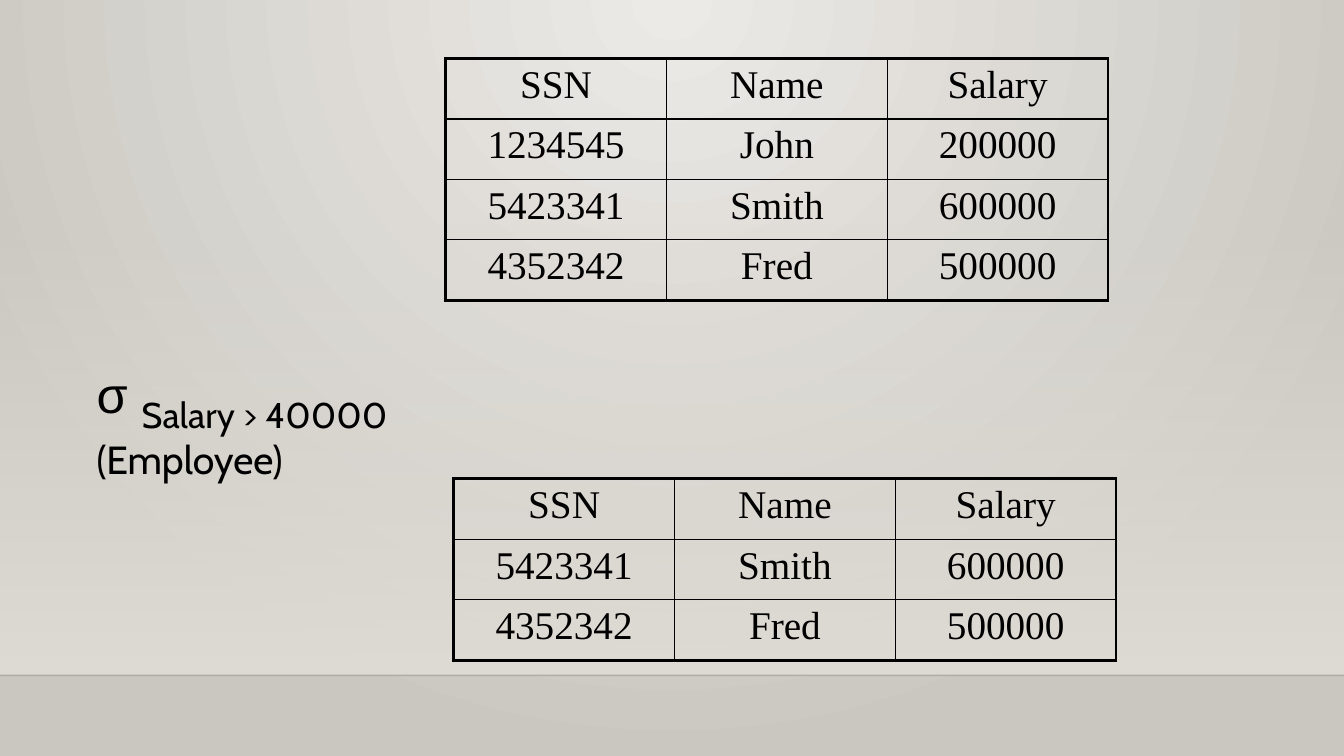
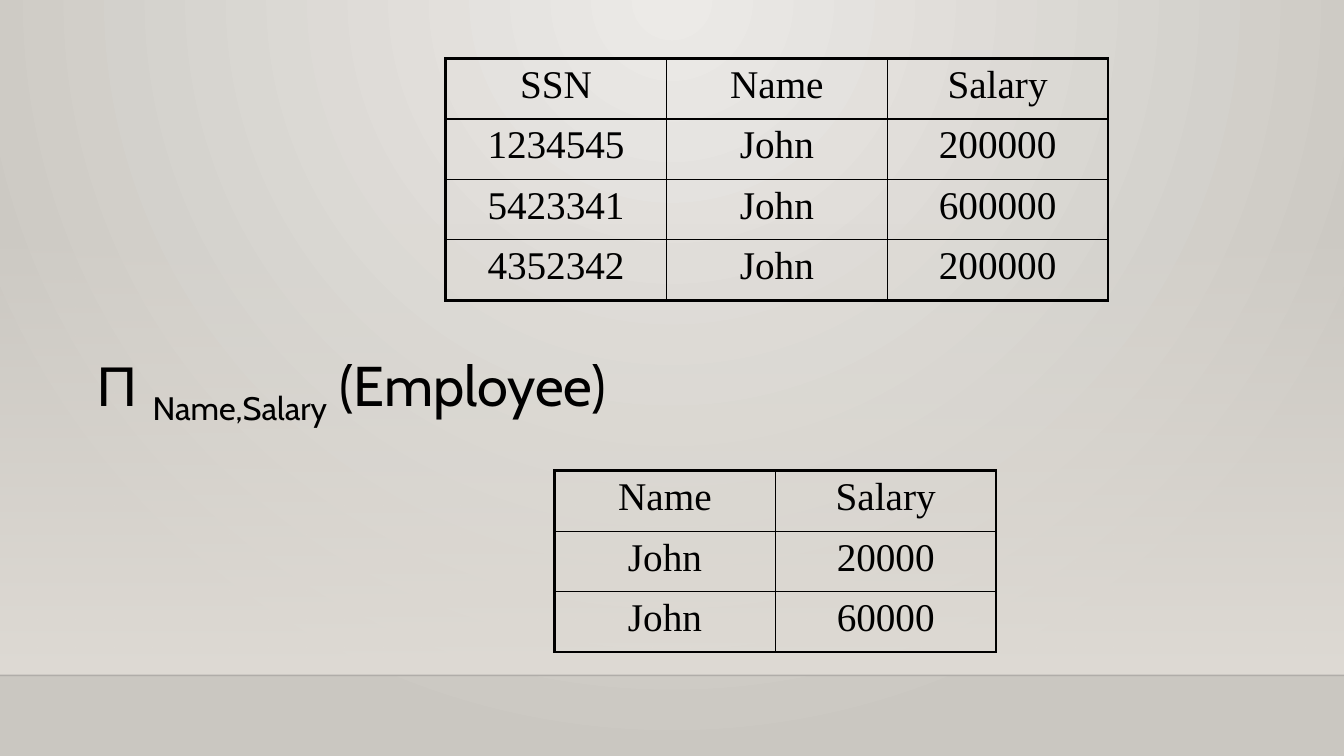
from dataclasses import dataclass

from lxml.etree import SubElement
from pptx import Presentation
from pptx.dml.color import RGBColor
from pptx.enum.shapes import MSO_CONNECTOR, MSO_SHAPE
from pptx.enum.text import PP_ALIGN
from pptx.oxml.ns import qn
from pptx.util import Inches, Pt

INK = "000000"
GLOW, EDGE, BAND, HORIZON = "ECEAE7", "CAC7C1", "DFDBD5", "000001"
SYMBOL_FONT, TEXT_FONT, TABLE_FONT = "Arial", "Cabin", "Times New Roman"
SLIDE_WIDTH, SLIDE_HEIGHT = 13.33, 7.5
BAND_TOP, HORIZON_TOP = 2.21, 6.7
COLUMN_WIDTH, ROW_HEIGHT = 2.19, 0.6
OUTER_RULE, INNER_RULE = 2.25, 1


@dataclass(frozen=True)
class Term:
    """One piece of a relational algebra expression."""
    text: str
    size: int
    font: str = TEXT_FONT
    subscript: bool = False


@dataclass(frozen=True)
class Expression:
    """A line of relational algebra and its place."""
    top: float
    width: float
    height: float
    terms: tuple[Term, ...]
    right_inset: float = 0.1


@dataclass(frozen=True)
class Relation:
    """A table of tuples, header row first."""
    left: float
    top: float
    rows: tuple[tuple[str, ...], ...]


@dataclass(frozen=True)
class Example:
    """An operator applied to a source relation."""
    expression: Expression
    source: Relation
    result: Relation


HEADER = ("SSN", "Name", "Salary")

EXAMPLES = (
    Example(
        Expression(3.44, 5.07, 0.84, (
            Term("σ ", 36, SYMBOL_FONT),
            Term("Salary > 40000 ", 44, subscript=True),
            Term("(Employee)", 28),
        ), right_inset=1),
        Relation(4.42, 0.58, (
            HEADER,
            ("1234545", "John", "200000"),
            ("5423341", "Smith", "600000"),
            ("4352342", "Fred", "500000"),
        )),
        Relation(4.5, 4.75, (
            HEADER,
            ("5423341", "Smith", "600000"),
            ("4352342", "Fred", "500000"),
        )),
    ),
    Example(
        Expression(3.43, 5.4, 0.77, (
            Term("Π ", 40, SYMBOL_FONT),
            Term("Name,Salary", 40, subscript=True),
            Term(" (Employee)", 40),
        )),
        Relation(4.42, 0.58, (
            HEADER,
            ("1234545", "John", "200000"),
            ("5423341", "John", "600000"),
            ("4352342", "John", "200000"),
        )),
        Relation(5.5, 4.67, (
            HEADER[1:],
            ("John", "20000"),
            ("John", "60000"),
        )),
    ),
)


def rgb(value: str) -> RGBColor:
    """Turn a hex string into a colour."""
    return RGBColor.from_string(value)


def set_alpha(parent, percent: int) -> None:
    """Make the first colour below an XML element partly transparent."""
    colour = next(parent.iter(qn("a:srgbClr")))
    SubElement(colour, qn("a:alpha"), val=str(percent * 1000))


def fill_gradient(fill, start: str, end: str) -> None:
    """Give a fill a two-stop gradient."""
    fill.gradient()
    for stop, colour, position in zip(fill.gradient_stops, (start, end), (0, 1)):
        stop.color.rgb = rgb(colour)
        stop.position = position


def style_master(master) -> None:
    """Give the master a glow that spreads from the top centre."""
    fill_gradient(master.background.fill, GLOW, EDGE)
    gradient = next(master.element.iter(qn("a:gradFill")))
    gradient.remove(gradient.find(qn("a:lin")))
    glow = SubElement(gradient, qn("a:path"), path="circle")
    SubElement(glow, qn("a:fillToRect"), l="43000", t="0", r="43000", b="100000")


def add_backdrop(slide) -> None:
    """Draw the fading wall and the horizon line."""
    wall = slide.shapes.add_shape(
        MSO_SHAPE.RECTANGLE, 0, Inches(BAND_TOP),
        Inches(SLIDE_WIDTH), Inches(HORIZON_TOP - BAND_TOP))
    wall.shadow.inherit = False
    wall.line.fill.background()
    fill_gradient(wall.fill, BAND, BAND)
    wall.fill.gradient_angle = 270
    set_alpha(wall.element.spPr, 0)

    horizon = slide.shapes.add_connector(
        MSO_CONNECTOR.STRAIGHT, 0, Inches(HORIZON_TOP),
        Inches(SLIDE_WIDTH), Inches(HORIZON_TOP))
    horizon.line.width = Pt(1)
    horizon.line.color.rgb = rgb(HORIZON)
    set_alpha(horizon.element.spPr, 20)
    SubElement(horizon.element.spPr, qn("a:effectLst"))


def add_expression(slide, expression: Expression) -> None:
    """Write an expression with its subscripted condition."""
    frame = slide.shapes.add_textbox(
        Inches(0.86), Inches(expression.top),
        Inches(expression.width), Inches(expression.height)).text_frame
    frame.word_wrap = True
    frame.margin_right = Inches(expression.right_inset)
    paragraph = frame.paragraphs[0]
    paragraph.font.color.rgb = rgb(INK)
    for term in expression.terms:
        run = paragraph.add_run()
        run.text = term.text
        run.font.size = Pt(term.size)
        run.font.name = term.font
        if term.subscript:
            run._r.get_or_add_rPr().set("baseline", "-25000")


def add_border(cell, side: str, width: float) -> None:
    """Draw one side of a cell."""
    properties = cell._tc.get_or_add_tcPr()
    border = SubElement(properties, qn(f"a:ln{side}"), w=str(Pt(width)))
    ink = SubElement(border, qn("a:solidFill"))
    SubElement(ink, qn("a:srgbClr"), val=INK)


def add_relation(slide, relation: Relation) -> None:
    """Draw a relation as a ruled table with a heavier frame."""
    last_row, last_column = len(relation.rows) - 1, len(relation.rows[0]) - 1
    table = slide.shapes.add_table(
        last_row + 1, last_column + 1, Inches(relation.left), Inches(relation.top),
        Inches(COLUMN_WIDTH * (last_column + 1)),
        Inches(ROW_HEIGHT * (last_row + 1))).table
    table.first_row = table.horz_banding = False
    for r, values in enumerate(relation.rows):
        for c, value in enumerate(values):
            cell = table.cell(r, c)
            on_frame = {"L": c == 0, "R": c == last_column,
                        "T": r == 0, "B": r == last_row}
            for side, framed in on_frame.items():
                add_border(cell, side, OUTER_RULE if framed else INNER_RULE)
            cell.fill.background()
            cell.text = value
            paragraph = cell.text_frame.paragraphs[0]
            paragraph.alignment = PP_ALIGN.CENTER
            paragraph.font.size = Pt(28)
            paragraph.font.name = TABLE_FONT
            paragraph.font.color.rgb = rgb(INK)


def main() -> None:
    """Build the deck."""
    deck = Presentation()
    deck.slide_width, deck.slide_height = Inches(SLIDE_WIDTH), Inches(SLIDE_HEIGHT)
    style_master(deck.slide_master)
    blank = deck.slide_layouts[6]
    for example in EXAMPLES:
        slide = deck.slides.add_slide(blank)
        add_backdrop(slide)
        add_expression(slide, example.expression)
        add_relation(slide, example.source)
        add_relation(slide, example.result)
    deck.save("out.pptx")


if __name__ == "__main__":
    main()
